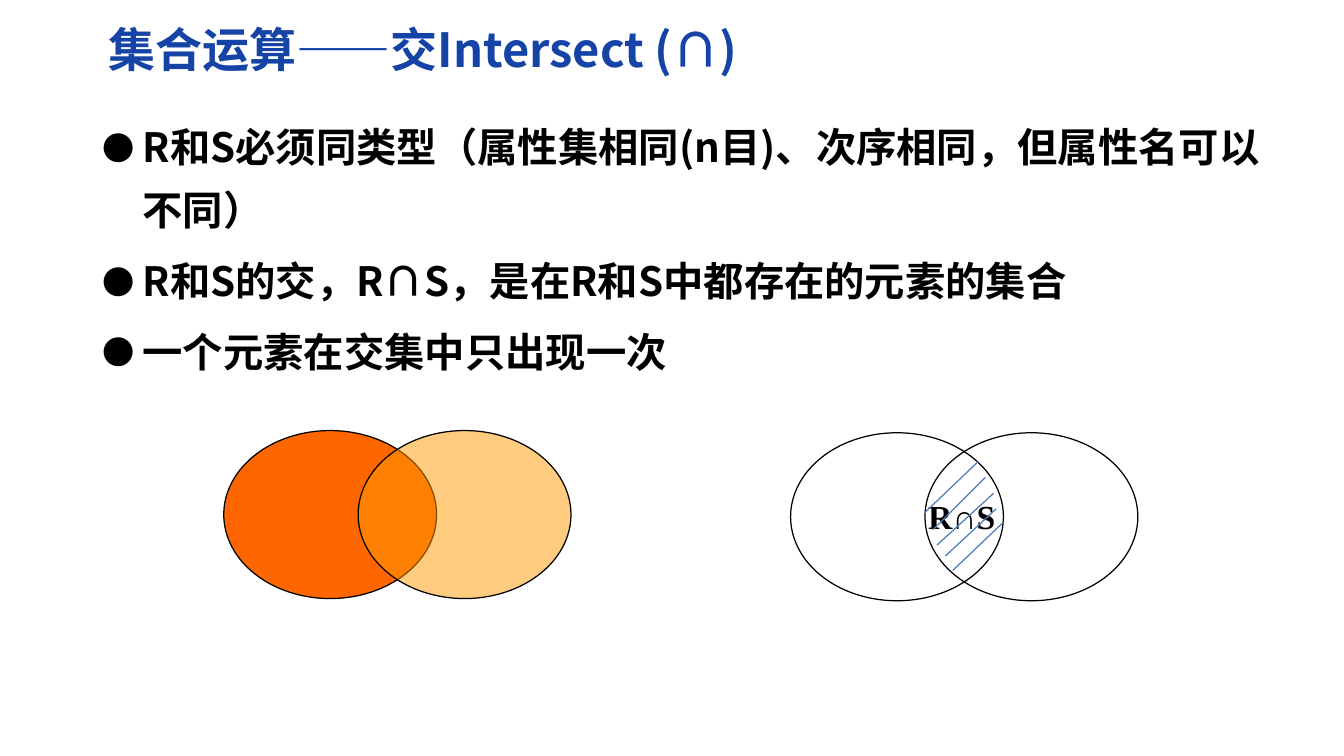
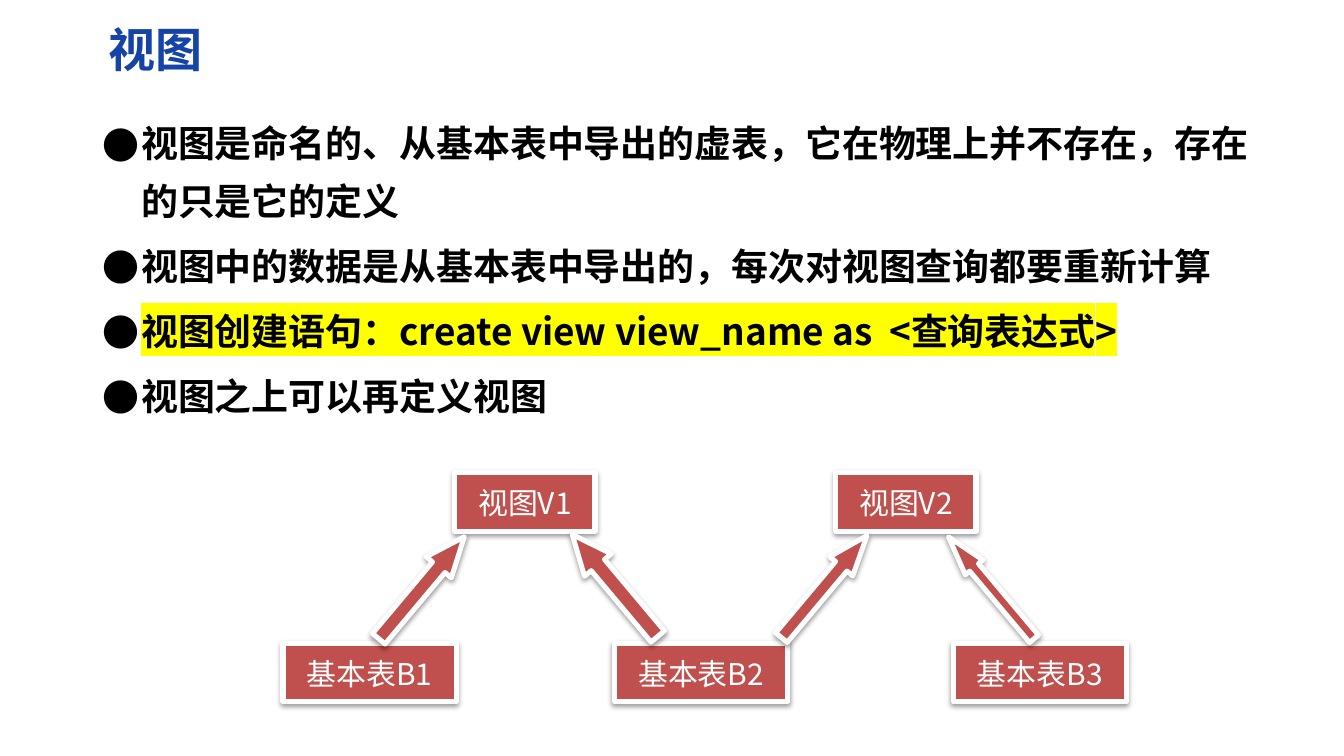
import pptx
import pptx.util
import pptx.dml.color
import pptx.enum.shapes
import pptx.enum.text
import pptx.oxml.ns
from lxml import etree

Pt = pptx.util.Pt
RGBColor = pptx.dml.color.RGBColor
MSO_SHAPE = pptx.enum.shapes.MSO_SHAPE
MSO_CONNECTOR = pptx.enum.shapes.MSO_CONNECTOR
MSO_ANCHOR = pptx.enum.text.MSO_ANCHOR
MSO_AUTO_SIZE = pptx.enum.text.MSO_AUTO_SIZE
PP_ALIGN = pptx.enum.text.PP_ALIGN
qn = pptx.oxml.ns.qn

TITLE_BLUE = RGBColor(0x15, 0x43, 0xA6)
BLACK = RGBColor(0, 0, 0)
WHITE = RGBColor(0xFF, 0xFF, 0xFF)
ORANGE = RGBColor(0xFF, 0x66, 0x00)
AMBER = RGBColor(0xFF, 0x99, 0x00)
HATCH_BLUE = RGBColor(0x4B, 0x7E, 0xBC)
BRICK = RGBColor(0xC0, 0x50, 0x4D)
YELLOW = RGBColor(0xFF, 0xFF, 0x00)
SANS = "Noto Sans CJK SC"
SERIF = "Times New Roman"

TITLE_BOX = (56.9, 8.6, 706.3, 41)
HATCH = [
    (111.6, 17.2, 79.9, 47.5),
    (115.9, 26.6, 84.9, 57.6),
    (120.9, 36, 87.1, 66.9),
    (122.4, 45.3, 92.1, 73.4),
    (126.7, 53.2, 96.5, 82),
]


def sub(parent, tag, **attrs):
    return etree.SubElement(parent, qn(tag), **attrs)


def pts(*values):
    return [Pt(v) for v in values]


def format_run(r, size, color, bold=True, font=SANS, highlight=None):
    r.font.size = Pt(size)
    r.font.bold = bold
    r.font.color.rgb = color
    rPr = r.font._element
    if highlight:
        sub(sub(rPr, "a:highlight"), "a:srgbClr", val=str(highlight))
    r.font.name = font
    sub(rPr, "a:ea", typeface=font)


def add_titled_slide(prs, title):
    s = prs.slides.add_slide(prs.slide_layouts[5])
    sp = s.shapes.title
    sp.left, sp.top, sp.width, sp.height = pts(*TITLE_BOX)
    tf = sp.text_frame
    tf.text = title
    tf.auto_size = MSO_AUTO_SIZE.NONE
    tf.word_wrap = True
    tf.vertical_anchor = MSO_ANCHOR.MIDDLE
    tf.margin_left = tf.margin_right = Pt(7.9)
    tf.margin_top = tf.margin_bottom = Pt(4.3)
    p = tf.paragraphs[0]
    p.alignment = PP_ALIGN.LEFT
    format_run(p.runs[0], 28, TITLE_BLUE)
    return s


def add_bullets(s, box, items, size, indent, bullet_pct, highlighted=None):
    tf = s.shapes.add_textbox(*pts(*box)).text_frame
    tf.word_wrap = True
    for i, item in enumerate(items):
        p = tf.paragraphs[0] if i == 0 else tf.add_paragraph()
        p.text = item
        p.line_spacing = 1.3
        if i:
            p.space_before = Pt(size * 0.2)
        pPr = p._p.get_or_add_pPr()
        pPr.set("marL", str(Pt(indent)))
        pPr.set("indent", str(-Pt(indent)))
        sub(pPr, "a:buSzPct", val=str(bullet_pct * 1000))
        sub(pPr, "a:buFont", typeface=SANS)
        sub(pPr, "a:buChar", char="●")
        format_run(p.runs[0], size, BLACK,
                   highlight=YELLOW if i == highlighted else None)


def add_venn(s, left, top, fills):
    for i, fill in enumerate(fills):
        sp = s.shapes.add_shape(MSO_SHAPE.OVAL, *pts(left + i * 80, top, 126.7, 100))
        sp.shadow.inherit = False
        sp.line.color.rgb = BLACK
        sp.line.width = Pt(0.75)
        if fill is None:
            sp.fill.background()
            continue
        color, opacity = fill
        sp.fill.solid()
        sp.fill.fore_color.rgb = color
        if opacity < 100:
            clr = sp._element.spPr.find(qn("a:solidFill"))[0]
            sub(clr, "a:alpha", val=str(opacity * 1000))


def add_intersection(s, left, top):
    add_venn(s, left, top, [None, None])
    tf = s.shapes.add_textbox(*pts(left + 61.2, top + 33.8, 81.4, 31.7)).text_frame
    tf.word_wrap = True
    tf.vertical_anchor = MSO_ANCHOR.MIDDLE
    tf.text = "R∩S"
    p = tf.paragraphs[0]
    p.alignment = PP_ALIGN.CENTER
    format_run(p.runs[0], 20, BLACK, font=SERIF)
    for x1, y1, x2, y2 in HATCH:
        line = s.shapes.add_connector(
            MSO_CONNECTOR.STRAIGHT,
            *pts(left + x1, top + y1, left + x2, top + y2))
        line.line.color.rgb = HATCH_BLUE
        line.line.width = Pt(0.75)
        sub(line._element.spPr, "a:effectLst")


def add_raised_shape(s, kind, box):
    sp = s.shapes.add_shape(kind, *pts(*box))
    sp.fill.solid()
    sp.fill.fore_color.rgb = BRICK
    sp.line.color.rgb = WHITE
    sp.line.width = Pt(3)
    sp.shadow.inherit = False
    effects = sp._element.spPr.find(qn("a:effectLst"))
    shadow = sub(effects, "a:outerShdw", blurRad=str(Pt(3.1)), dist=str(Pt(1.6)),
                 dir="5400000", rotWithShape="0")
    sub(sub(shadow, "a:srgbClr", val=str(BLACK)), "a:alpha", val="38000")
    return sp


def add_node(s, label, box):
    tf = add_raised_shape(s, MSO_SHAPE.RECTANGLE, box).text_frame
    tf.word_wrap = False
    tf.vertical_anchor = MSO_ANCHOR.MIDDLE
    tf.text = label
    p = tf.paragraphs[0]
    p.alignment = PP_ALIGN.CENTER
    p.line_spacing = Pt(22.2)
    format_run(p.runs[0], 17.8, WHITE, bold=False)


def add_view_diagram(s, left, top):
    for label, x in [("视图V1", 102.2), ("视图V2", 329)]:
        add_node(s, label, (left + x, top, 83.5, 34.6))
    for label, x in [("基本表B1", 0), ("基本表B2", 197.3), ("基本表B3", 398.9)]:
        add_node(s, label, (left + x, top + 101.5, 103, 34.6))
    arrows = [(72.7, 28.8, 19.5, 40, 1.215), (187.2, 27.4, 20.8, 320, 1.142),
              (313.2, 28.1, 17.8, 40, 1.338), (414.7, 28.8, 13.7, 320, 1.733)]
    for x, y, width, angle, head in arrows:
        sp = add_raised_shape(s, MSO_SHAPE.UP_ARROW, (left + x, top + y, width, 79.2))
        sp.adjustments[0] = 0.5
        sp.adjustments[1] = head
        sp.rotation = angle


def add_intersect_slide(prs):
    s = add_titled_slide(prs, "集合运算——交Intersect (∩)")
    add_venn(s, 133.2, 256.3, [(ORANGE, 100), (AMBER, 50)])
    add_intersection(s, 470.6, 257.6)
    add_bullets(s, (54, 60.5, 708.5, 339.8), [
        "R和S必须同类型（属性集相同(n目)、次序相同，但属性名可以不同）",
        "R和S的交，R∩S，是在R和S中都存在的元素的集合",
        "一个元素在交集中只出现一次",
    ], 24, 23.8, 80)


def add_view_slide(prs):
    s = add_titled_slide(prs, "视图")
    add_bullets(s, (54, 60.5, 708.5, 193), [
        "视图是命名的、从基本表中导出的虚表，它在物理上并不存在，存在的只是它的定义",
        "视图中的数据是从基本表中导出的，每次对视图查询都要重新计算",
        "视图创建语句：create view view_name as  <查询表达式>",
        "视图之上可以再定义视图",
    ], 22, 23, 100, highlighted=2)
    add_view_diagram(s, 168.5, 281.5)


def main():
    prs = pptx.Presentation()
    prs.slide_width, prs.slide_height = Pt(800), Pt(450)
    add_intersect_slide(prs)
    add_view_slide(prs)
    prs.save("out.pptx")


if __name__ == "__main__":
    main()
